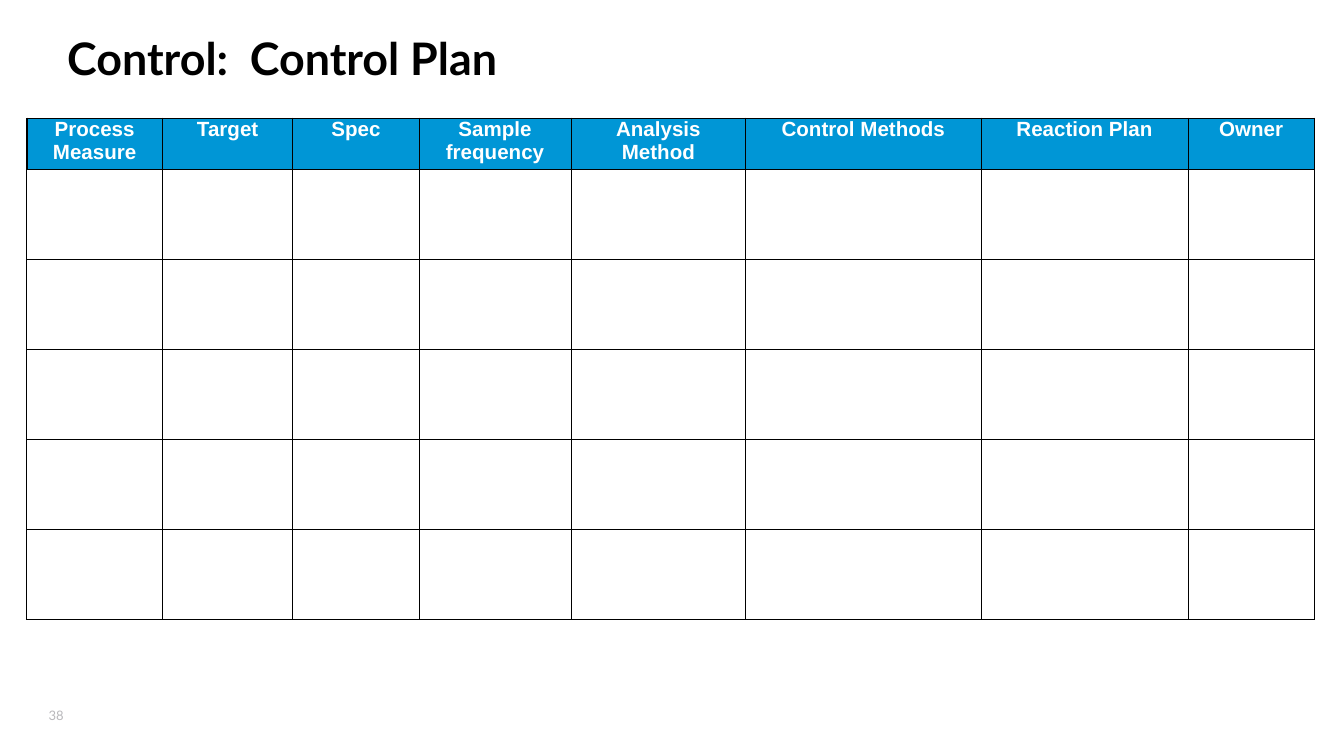
from lxml.etree import SubElement
from pptx import Presentation
from pptx.dml.color import RGBColor
from pptx.enum.text import MSO_ANCHOR, MSO_AUTO_SIZE, PP_ALIGN
from pptx.oxml.ns import qn
from pptx.util import Pt

HEADERS = ["Process\nMeasure", "Target", "Spec", "Sample frequency",
           "Analysis\nMethod", "Control Methods", "Reaction Plan", "Owner"]
COLUMN_WIDTHS = [72.7, 69.8, 67.7, 81.4, 93.6, 126, 110.9, 67.7]
HEADER_HEIGHT = 27.4
BODY_HEIGHT = 48.2
BODY_ROWS = 5

TITLE_FONT = {"name": "Lato", "size": Pt(24), "bold": True, "color": "000000"}
HEADER_FONT = {"name": "Arial", "size": Pt(11), "bold": True, "color": "FFFFFF"}
NUMBER_FONT = {"name": "Lato", "size": Pt(7), "color": "B9B8BB"}


def color(hex_string):
    return RGBColor.from_string(hex_string)


def set_attributes(target, values):
    for name, value in values.items():
        setattr(target, name, value)


def format_font(font, values):
    for name, value in values.items():
        if name == "color":
            font.color.rgb = color(value)
        else:
            setattr(font, name, value)


def place(shape, box):
    set_attributes(shape, dict(zip(("left", "top", "width", "height"), map(Pt, box))))


def set_margins(target, left, top, right, bottom):
    set_attributes(target, {"margin_left": Pt(left), "margin_top": Pt(top),
                            "margin_right": Pt(right), "margin_bottom": Pt(bottom)})


def add_borders(cell, widths, hex_string="000000"):
    """Draw cell borders; widths maps the sides L, R, T and B to points."""
    properties = cell._tc.get_or_add_tcPr()
    for side, width in widths.items():
        line = SubElement(properties, qn(f"a:ln{side}"), w=str(Pt(width)))
        fill = SubElement(line, qn("a:solidFill"))
        SubElement(fill, qn("a:srgbClr"), val=hex_string)


def add_title(slide, box, text):
    title = slide.shapes.title
    place(title, box)
    frame = title.text_frame
    set_attributes(frame, {"text": text, "word_wrap": True,
                           "auto_size": MSO_AUTO_SIZE.NONE,
                           "vertical_anchor": MSO_ANCHOR.TOP})
    set_margins(frame, 0, 0, 0, 0)
    paragraph = frame.paragraphs[0]
    paragraph.alignment = PP_ALIGN.LEFT
    format_font(paragraph.runs[0].font, TITLE_FONT)


def fill_header_cell(cell, text):
    set_margins(cell, 0, 0, 0, 0)
    cell.text_frame.text = text
    for paragraph in cell.text_frame.paragraphs:
        paragraph.alignment = PP_ALIGN.CENTER
        format_font(paragraph.runs[0].font, HEADER_FONT)


def add_control_table(slide, left, top):
    heights = [HEADER_HEIGHT] + [BODY_HEIGHT] * BODY_ROWS
    frame = slide.shapes.add_table(len(heights), len(HEADERS), Pt(left), Pt(top),
                                   Pt(sum(COLUMN_WIDTHS)), Pt(sum(heights)))
    table = frame.table
    set_attributes(table, {"first_row": True, "horz_banding": False})
    for column, width in zip(table.columns, COLUMN_WIDTHS):
        column.width = Pt(width)
    last_column = len(HEADERS) - 1
    for row_index, (row, height) in enumerate(zip(table.rows, heights)):
        row.height = Pt(height)
        is_header = row_index == 0
        for column_index, cell in enumerate(row.cells):
            add_borders(cell, {
                "L": 1 if is_header and column_index == 0 else 0.5,
                "R": 1 if is_header and column_index == last_column else 0.5,
                "T": 1 if is_header else 0.5,
                "B": 0.5,
            })
            cell.fill.solid()
            cell.fill.fore_color.rgb = color("0096D6" if is_header else "FFFFFF")
            if is_header:
                fill_header_cell(cell, HEADERS[column_index])


def add_page_number(slide, box, text):
    frame = slide.shapes.add_textbox(*map(Pt, box)).text_frame
    set_attributes(frame, {"text": text, "word_wrap": False,
                           "vertical_anchor": MSO_ANCHOR.MIDDLE})
    set_margins(frame, 0, 3.6, 7.2, 3.6)
    format_font(frame.paragraphs[0].runs[0].font, NUMBER_FONT)


def main():
    presentation = Presentation()
    set_attributes(presentation, {"slide_width": Pt(720), "slide_height": Pt(405)})
    slide = presentation.slides.add_slide(presentation.slide_layouts[5])
    add_page_number(slide, (26, 377.3, 25.2, 11.5), "38")
    add_title(slide, (36, 16.6, 648, 24.5), "Control:  Control Plan")
    add_control_table(slide, 14.4, 63.4)
    presentation.save("out.pptx")


if __name__ == "__main__":
    main()
